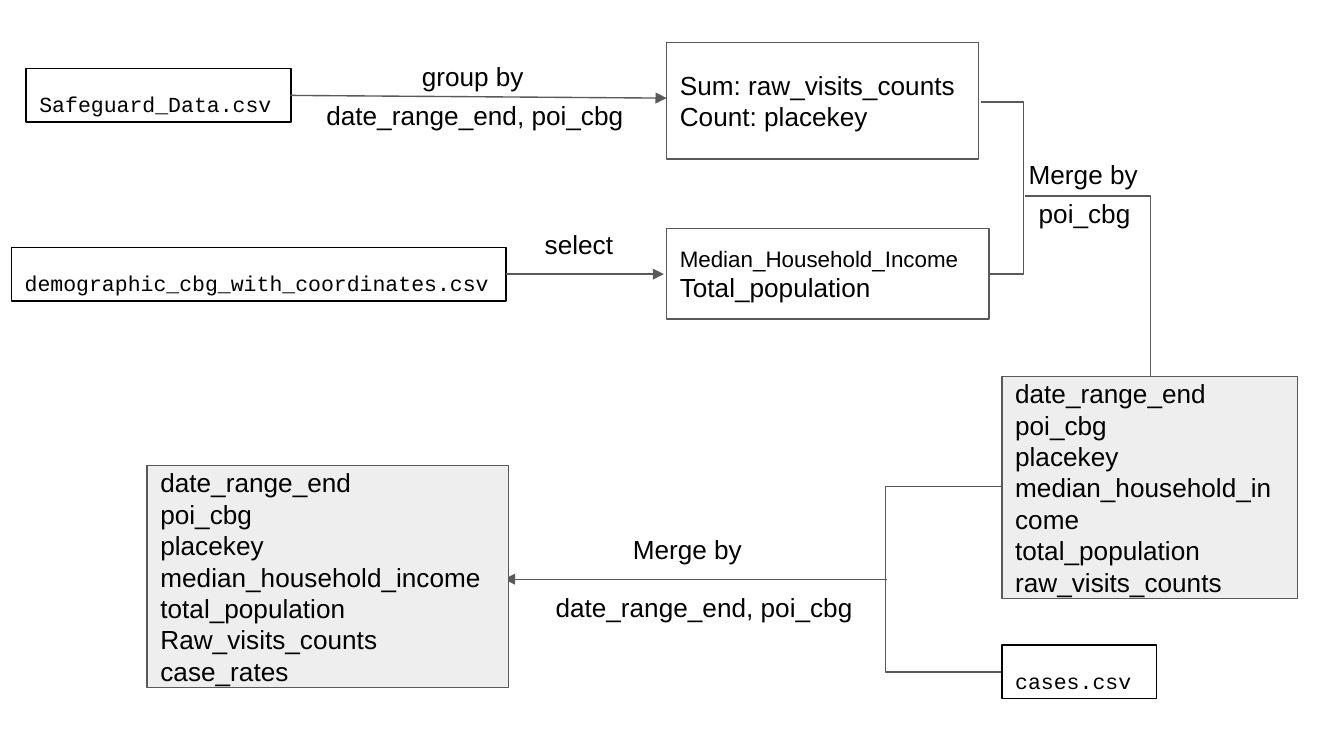
from dataclasses import dataclass

from lxml.etree import SubElement
from pptx import Presentation
from pptx.dml.color import RGBColor
from pptx.enum.shapes import MSO_CONNECTOR as Connector, MSO_SHAPE as Shape
from pptx.enum.text import MSO_ANCHOR as Anchor, MSO_AUTO_SIZE as AutoSize, PP_ALIGN as Align
from pptx.oxml.ns import qn
from pptx.util import Inches, Pt


@dataclass(frozen=True)
class Theme:
    ink: RGBColor = RGBColor(0, 0, 0)
    rule: RGBColor = RGBColor(0x59, 0x59, 0x59)
    paper: RGBColor = RGBColor(0xFF, 0xFF, 0xFF)
    shade: RGBColor = RGBColor(0xEE, 0xEE, 0xEE)
    body: str = "Arial"
    code: str = "Courier New"
    body_size: float = 14
    small_size: float = 12
    code_size: float = 11.5
    line_width: float = 0.75


THEME = Theme()
COLUMNS, ROWS = 100, 56.25  # grid cells of a tenth of an inch
CELL = Inches(0.1)
LABEL_ROWS = 4.4
FILE_ROWS = 4

MERGED_FIELDS = ["date_range_end", "poi_cbg", "placekey",
                 "median_household_income", "total_population"]


def grid(*cells):
    return [round(cell * CELL) for cell in cells]


def apply_format(target, values):
    for name, value in values.items():
        setattr(target, name, value)


def write(shape, lines, font=THEME.body, sizes=(THEME.body_size,),
          spacing=None, **frame_format):
    """Fill the shape with one paragraph a line; the last size repeats."""
    frame = shape.text_frame
    margins = {f"margin_{side}": CELL for side in ("left", "top", "right", "bottom")}
    apply_format(frame, {"word_wrap": True, **margins, **frame_format})
    for index, line in enumerate(lines):
        para = frame.paragraphs[0] if index == 0 else frame.add_paragraph()
        apply_format(para, {"alignment": Align.LEFT, "line_spacing": spacing})
        span = para.add_run()
        span.text = line
        size = sizes[min(index, len(sizes) - 1)]
        apply_format(span.font, {"name": font, "size": Pt(size)})
        span.font.color.rgb = THEME.ink


def stroke(line, color):
    line.color.rgb = color
    line.width = Pt(THEME.line_width)


def add_box(page, place, color):
    box = page.shapes.add_shape(Shape.RECTANGLE, *grid(*place))
    box.shadow.inherit = False
    stroke(box.line, color)
    return box


def add_file(page, left, top, width, name):
    box = add_box(page, (left, top, width, FILE_ROWS), THEME.ink)
    box.fill.background()
    write(box, [name], THEME.code, (THEME.code_size,), 1.36,
          vertical_anchor=Anchor.TOP, auto_size=AutoSize.SHAPE_TO_FIT_TEXT)


def add_fields(page, place, lines, fill, sizes=(THEME.body_size,)):
    box = add_box(page, place, THEME.rule)
    box.fill.solid()
    box.fill.fore_color.rgb = fill
    write(box, lines, sizes=sizes, vertical_anchor=Anchor.MIDDLE)


def add_label(page, left, top, width, text):
    box = page.shapes.add_textbox(*grid(left, top, width, LABEL_ROWS))
    write(box, [text], auto_size=AutoSize.SHAPE_TO_FIT_TEXT)


def add_link(page, start, end, kind=Connector.STRAIGHT):
    link = page.shapes.add_connector(kind, *grid(*start, *end))
    stroke(link.line, THEME.rule)
    SubElement(link._element.spPr, qn("a:effectLst"))
    return link


def add_arrow(page, start, end):
    link = add_link(page, start, end)
    SubElement(link.line._get_or_add_ln(), qn("a:tailEnd"), type="triangle")


def add_bracket(page, start, end, bend):
    """Join two points by way of an upright at column bend."""
    link = add_link(page, start, end, Connector.ELBOW)
    share = (bend - start[0]) / (end[0] - start[0])
    guides = link._element.spPr.find(qn("a:prstGeom")).get_or_add_avLst()
    SubElement(guides, qn("a:gd"), name="adj1", fmla=f"val {round(share * 100000)}")


def add_corner(page, start, end):
    """Run across, then down, with a single bend."""
    link = add_link(page, start, end, Connector.ELBOW)
    link._element.spPr.find(qn("a:prstGeom")).set("prst", "bentConnector2")


def add_sources(page):
    add_file(page, 1.95, 5.1, 19.7, "Safeguard_Data.csv")
    add_arrow(page, (21.6, 7.1), (49.6, 7.3))
    add_label(page, 30.4, 3.5, 11, "group by")
    add_label(page, 23.3, 6.4, 24.5, "date_range_end, poi_cbg")
    add_fields(page, (49.6, 3.15, 23.2, 8.7),
               ["Sum: raw_visits_counts", "Count: placekey"], THEME.paper)

    add_file(page, 0.85, 18.4, 36.8, "demographic_cbg_with_coordinates.csv")
    add_arrow(page, (37.65, 20.4), (49.4, 20.4))
    add_label(page, 39.55, 16, 7.3, "select")
    add_fields(page, (49.6, 17, 24, 6.75),
               ["Median_Household_Income", "Total_population"], THEME.paper,
               (THEME.small_size, THEME.body_size))


def add_first_merge(page):
    add_bracket(page, (73, 7.6), (73.6, 20.4), 76.15)
    add_corner(page, (76.3, 14.6), (85.6, 28))
    add_fields(page, (74.55, 28, 22, 16.55),
               MERGED_FIELDS + ["raw_visits_counts"], THEME.shade)
    add_label(page, 75.55, 10.8, 10.2, "Merge by")
    add_label(page, 76.3, 13.7, 10.2, "poi_cbg")


def add_second_merge(page):
    add_file(page, 74.55, 48, 11.5, "cases.csv")
    add_bracket(page, (74.65, 36.2), (74.5, 50), 65.85)
    add_arrow(page, (66, 43.1), (37.5, 43.1))
    add_label(page, 46.1, 38.7, 10.2, "Merge by")
    add_label(page, 40.35, 43, 25.1, "date_range_end, poi_cbg")
    add_fields(page, (10.95, 34.65, 26.9, 16.5),
               MERGED_FIELDS + ["Raw_visits_counts", "case_rates"], THEME.shade)


def main():
    deck = Presentation()
    deck.slide_width, deck.slide_height = grid(COLUMNS, ROWS)
    blank_layout = deck.slide_layouts[6]
    page = deck.slides.add_slide(blank_layout)
    add_sources(page)
    add_first_merge(page)
    add_second_merge(page)
    deck.save("out.pptx")


if __name__ == "__main__":
    main()
